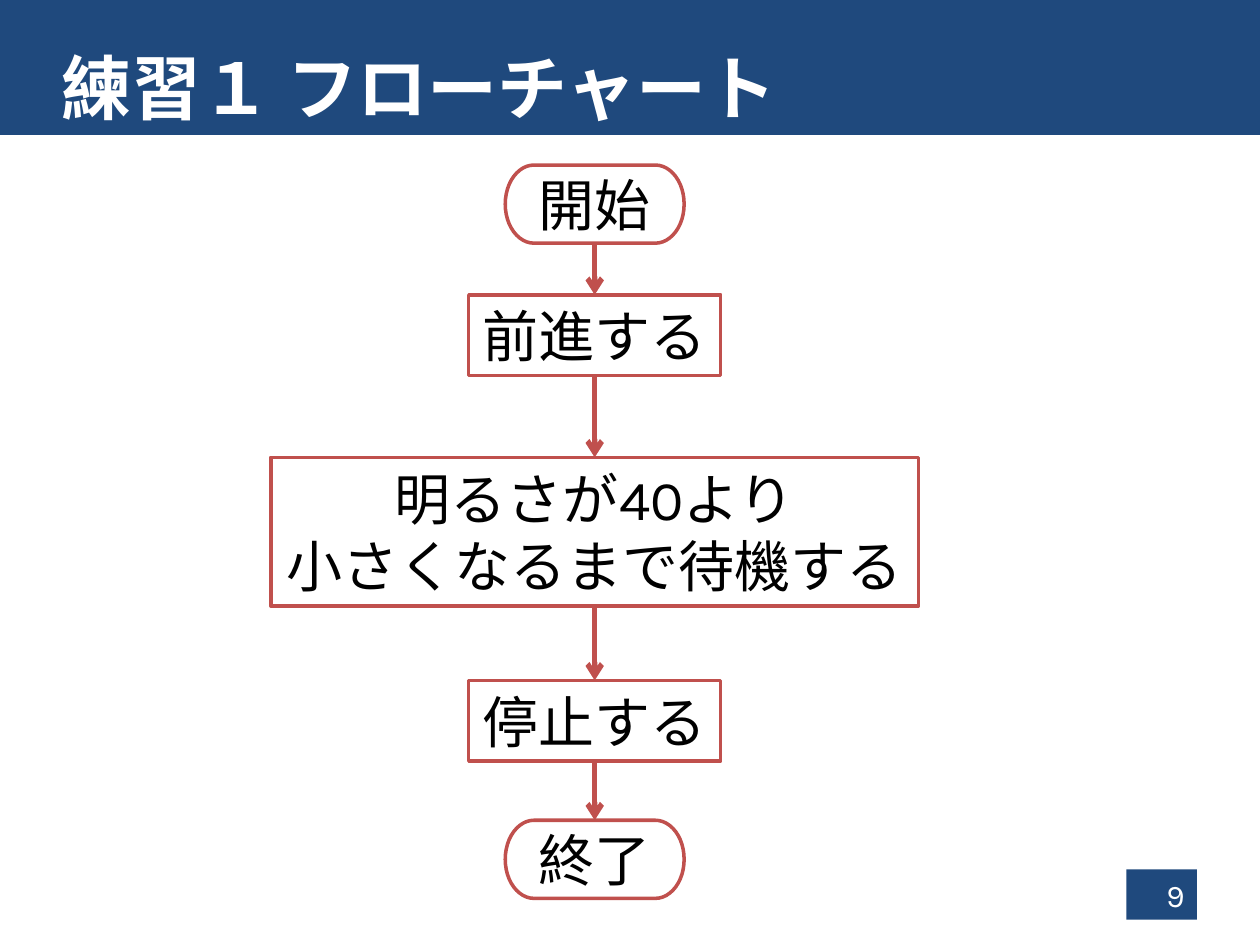
from dataclasses import dataclass

import pptx
import pptx.dml.color
import pptx.enum.shapes
import pptx.enum.text
import pptx.oxml
import pptx.oxml.ns
import pptx.util
from pptx.util import Inches

NAVY, RED, WHITE, BLACK = "1F497D", "C0504D", "FFFFFF", "000000"
FONT = "Karla"
FLOW_CENTER = 4.72

Shapes = pptx.enum.shapes.MSO_SHAPE
Align = pptx.enum.text.PP_ALIGN
Anchor = pptx.enum.text.MSO_ANCHOR
AutoSize = pptx.enum.text.MSO_AUTO_SIZE


@dataclass(frozen=True)
class Step:
    text: str
    top: float
    width: float
    height: float
    terminal: bool = False


STEPS = [
    Step("開始", 1.31, 1.42, 0.62, terminal=True),
    Step("前進する", 2.34, 2, 0.64),
    Step("明るさが40より\n小さくなるまで待機する", 3.63, 5.14, 1.18),
    Step("停止する", 5.4, 2, 0.64),
    Step("終了", 6.51, 1.42, 0.62, terminal=True),
]


def rgb(value: str) -> pptx.dml.color.RGBColor:
    return pptx.dml.color.RGBColor.from_string(value)


def paint(shape, color: str) -> None:
    shape.fill.solid()
    shape.fill.fore_color.rgb = rgb(color)


def write(shape, text: str, size: int, color: str, align, anchor, bold: bool = False) -> None:
    frame = shape.text_frame
    frame.text = text
    frame.vertical_anchor = anchor
    for paragraph in frame.paragraphs:
        paragraph.alignment = align
        paragraph.font.name = FONT
        paragraph.font.size = pptx.util.Pt(size)
        paragraph.font.bold = bold
        paragraph.font.color.rgb = rgb(color)


def add_title(slide, text: str) -> None:
    title = slide.shapes.title
    title.left, title.top = Inches(0), Inches(0)
    title.width, title.height = Inches(10), Inches(1.07)
    paint(title, NAVY)
    write(title, text, 40, WHITE, Align.LEFT, Anchor.BOTTOM, bold=True)
    title.text_frame.auto_size = AutoSize.NONE
    properties = title.text_frame.paragraphs[0]._p.get_or_add_pPr()
    properties.set("marL", str(Inches(0.39)))
    properties.set("indent", "0")


def add_page_number(slide, number: str) -> None:
    badge = slide.shapes.add_shape(
        Shapes.RECTANGLE, Inches(8.94), Inches(6.9), Inches(0.56), Inches(0.4))
    badge.shadow.inherit = False
    paint(badge, NAVY)
    badge.line.fill.background()
    write(badge, number, 18, WHITE, Align.RIGHT, Anchor.MIDDLE)


def add_step(slide, step: Step):
    kind = Shapes.FLOWCHART_TERMINATOR if step.terminal else Shapes.FLOWCHART_PROCESS
    box = slide.shapes.add_shape(
        kind, Inches(FLOW_CENTER - step.width / 2), Inches(step.top),
        Inches(step.width), Inches(step.height))
    box.shadow.inherit = False
    paint(box, WHITE)
    box.line.color.rgb = rgb(RED)
    box.line.width = pptx.util.Pt(2)
    write(box, step.text, 32, BLACK, Align.CENTER, Anchor.MIDDLE)
    if not step.terminal:
        box.text_frame.word_wrap = False
        box.text_frame.auto_size = AutoSize.SHAPE_TO_FIT_TEXT
    return box


def add_arrow(slide, upper, lower) -> None:
    arrow = slide.shapes.add_connector(
        pptx.enum.shapes.MSO_CONNECTOR.STRAIGHT, 0, 0, 0, 0)
    arrow.begin_connect(upper, 2)
    arrow.end_connect(lower, 0)
    arrow.line.color.rgb = rgb(RED)
    arrow.line.width = pptx.util.Pt(3)
    head = pptx.oxml.parse_xml(
        f'<a:tailEnd {pptx.oxml.ns.nsdecls("a")} type="arrow"/>')
    arrow.line._get_or_add_ln().append(head)
    arrow._element.spPr.append(
        pptx.oxml.parse_xml(f'<a:effectLst {pptx.oxml.ns.nsdecls("a")}/>'))


def main() -> None:
    presentation = pptx.Presentation()
    presentation.slide_width = Inches(10)
    presentation.slide_height = Inches(7.5)
    slide = presentation.slides.add_slide(presentation.slide_layouts[5])
    add_title(slide, "練習１ フローチャート")
    add_page_number(slide, "9")
    boxes = [add_step(slide, step) for step in STEPS]
    for upper, lower in zip(boxes, boxes[1:]):
        add_arrow(slide, upper, lower)
    presentation.save("out.pptx")


if __name__ == "__main__":
    main()
